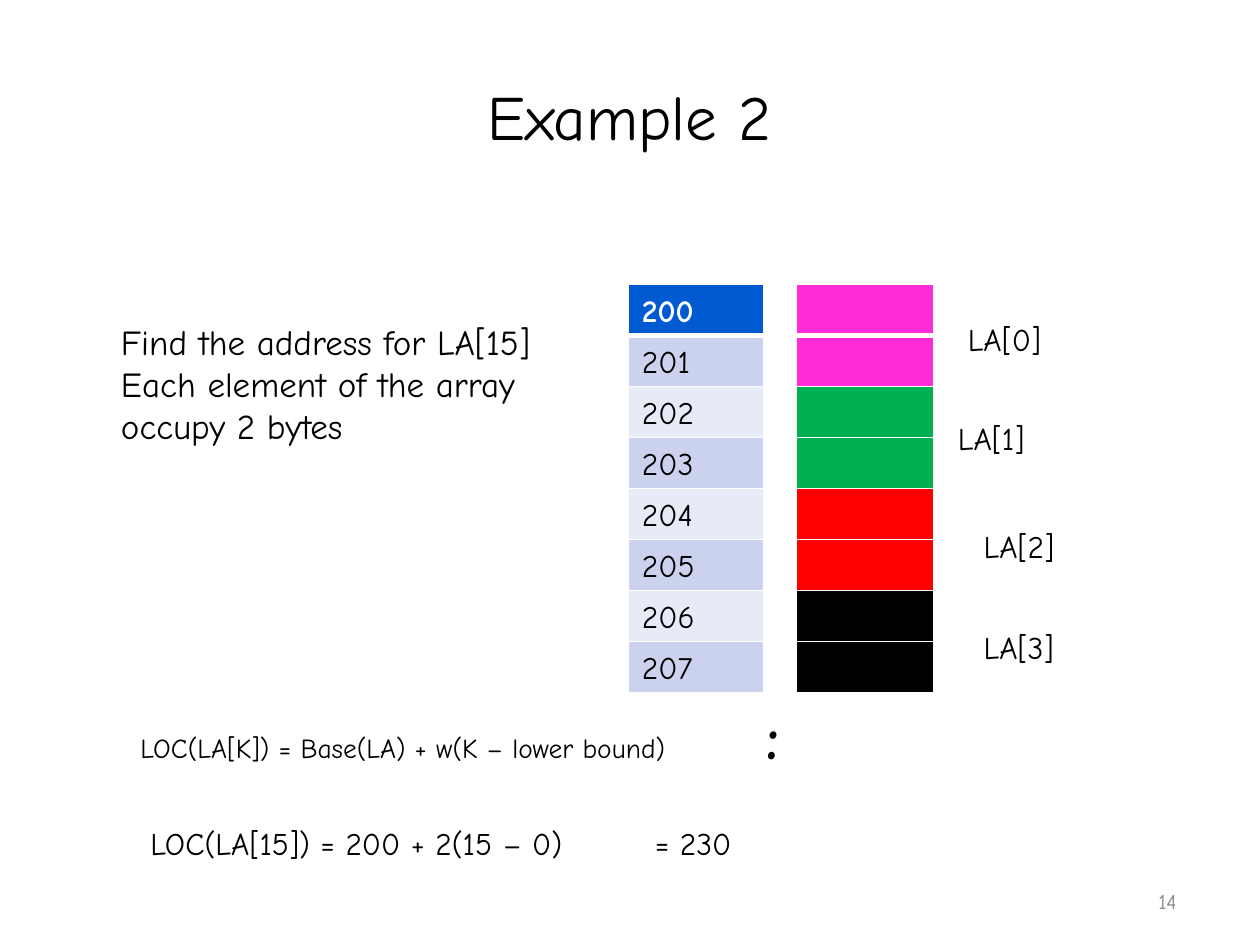
import pptx
import pptx.dml.color
import pptx.enum.text
import pptx.oxml
import pptx.oxml.ns
import pptx.util
from lxml import etree

Cm = pptx.util.Cm
Pt = pptx.util.Pt
FONT = "Comic Neue"
COLOURS = {
    "ink": "000000", "paper": "FFFFFF", "number": "888888",
    "header": "005BD2", "dark band": "CAD2EE", "light band": "E7EAF7",
    "pink": "FF2BD7", "green": "00AF50", "red": "FF0000",
}
ELEMENT_COLOURS = ["pink", "green", "red", "ink"]
ELEMENT_LABELS = [(19.48, 6.4), (19.28, 8.38), (19.8, 10.57), (19.8, 12.6)]
ADDRESSES = range(200, 208)


def colour(name):
    """Return the named colour as an RGB value."""
    return pptx.dml.color.RGBColor.from_string(COLOURS[name])


def add_span(para, text, size, ink="ink", bold=False):
    """Add one formatted run to a paragraph."""
    span = para.add_run()
    span.text = text
    span.font.name = FONT
    span.font.size = Pt(size)
    span.font.bold = bold
    span.font.color.rgb = colour(ink)


def set_margins(target, left=0, top=0):
    """Set the inner margins of a text frame or cell in centimetres."""
    target.margin_left, target.margin_top = Cm(left), Cm(top)
    target.margin_right = target.margin_bottom = 0


def add_text(page, box, lines, size, ink="ink", bold=False):
    """Place a text box holding one paragraph for each line."""
    frame = page.shapes.add_textbox(*map(Cm, box)).text_frame
    frame.word_wrap = True
    set_margins(frame, 0.03, 0.06)
    for index, line in enumerate(lines):
        para = frame.add_paragraph() if index else frame.paragraphs[0]
        add_span(para, line, size, ink, bold)
    return frame


def add_tab_stop(para, position):
    """Add a left tab stop at a position in centimetres."""
    properties = para._p.get_or_add_pPr()
    stops = etree.SubElement(properties, pptx.oxml.ns.qn("a:tabLst"))
    etree.SubElement(stops, pptx.oxml.ns.qn("a:tab"), pos=str(Cm(position)), algn="l")


def set_borders(cell, top, bottom):
    """Draw white cell borders with the given top and bottom widths in points."""
    properties = cell._tc.get_or_add_tcPr()
    widths = {"L": 1, "R": 1, "T": top, "B": bottom}
    for index, (side, width) in enumerate(widths.items()):
        line = pptx.oxml.parse_xml(
            f'<a:ln{side} {pptx.oxml.ns.nsdecls("a")} w="{Pt(width)}"><a:solidFill>'
            f'<a:srgbClr val="{COLOURS["paper"]}"/></a:solidFill></a:ln{side}>')
        properties.insert(index, line)


def add_column(page, box, fills, texts=()):
    """Place a one-column table with a thick rule below its first row."""
    left, top, width, height = map(Cm, box)
    table = page.shapes.add_table(len(fills), 1, left, top, width, height).table
    for index, fill in enumerate(fills):
        cell = table.cell(index, 0)
        set_margins(cell, 0.27, 0.19)
        cell.fill.solid()
        cell.fill.fore_color.rgb = colour(fill)
        set_borders(cell, 3 if index == 1 else 1, 3 if index == 0 else 1)
        if texts:
            ink = "ink" if index else "paper"
            add_span(cell.text_frame.paragraphs[0], str(texts[index]), 18, ink, index == 0)


def add_title(page, box, text):
    """Move and format the title placeholder."""
    title = page.shapes.title
    title.left, title.top, title.width, title.height = map(Cm, box)
    frame = title.text_frame
    set_margins(frame, 0, 0.06)
    frame.vertical_anchor = pptx.enum.text.MSO_ANCHOR.TOP
    para = frame.paragraphs[0]
    para.alignment = pptx.enum.text.PP_ALIGN.CENTER
    add_span(para, text, 36)


def add_memory(page, box):
    """Place the address column, the element column and the element labels."""
    left, top, width, height = box
    bands = ["dark band" if address % 2 else "light band" for address in ADDRESSES]
    bands[0] = "header"
    blocks = [name for name in ELEMENT_COLOURS for byte in range(2)]
    add_column(page, (left + 3.38, top, 2.77, height), blocks)
    add_column(page, (left, top, width, height), bands, ADDRESSES)
    for index, place in enumerate(ELEMENT_LABELS):
        add_text(page, (*place, 2.2, 0.84), [f"LA[{index}]"], 18)


def add_formulas(page, box):
    """Place the general formula, the continuation mark and the worked result."""
    left, top, width, height = box
    add_text(page, (left, top, width, 0.8), ["LOC(LA[K]) = Base(LA) + w(K – lower bound)"], 15.7)
    add_text(page, (left + 12.63, top - 0.7, 1, 1.6), [":"], 36, bold=True)
    result = add_text(page, (left + 0.2, top + 1.88, 16, 0.84),
                      ["LOC(LA[15]) = 200 + 2(15 – 0)\t= 230"], 18)
    add_tab_stop(result.paragraphs[0], 10.17)


def main():
    """Build the slide and save it."""
    deck = pptx.Presentation()
    deck.slide_width, deck.slide_height = Cm(25.4), Cm(19.05)
    page = deck.slides.add_slide(deck.slide_layouts[5])
    add_title(page, (9.63, 1.5, 6.12, 1.6), "Example 2")
    add_text(page, (2.41, 6.4, 9.35, 2.62),
             ["Find the address for LA[15]", "Each element of the array occupy 2 bytes"], 20)
    add_memory(page, (12.67, 5.74, 2.72, 8.23))
    add_formulas(page, (2.8, 14.68, 12, 2.72))
    add_text(page, (23.32, 17.86, 0.9, 0.6), ["14"], 12, "number")
    deck.save("out.pptx")


if __name__ == "__main__":
    main()
